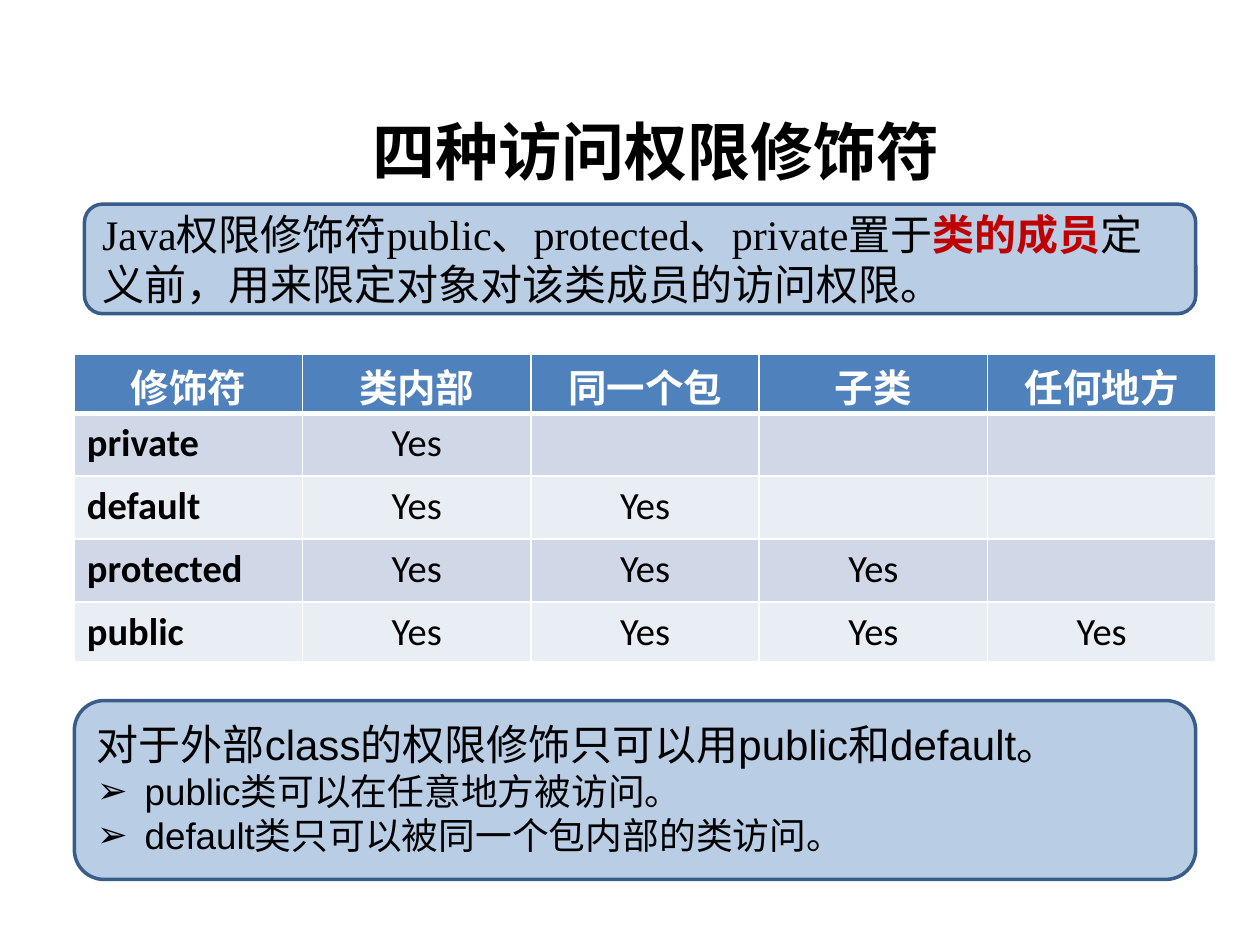
from lxml import etree
from pptx import Presentation
from pptx.dml.color import RGBColor
from pptx.enum.shapes import MSO_SHAPE
from pptx.enum.text import MSO_ANCHOR, PP_ALIGN
from pptx.oxml.ns import qn
from pptx.util import Inches, Pt

ROUND = MSO_SHAPE.ROUNDED_RECTANGLE
MIDDLE = MSO_ANCHOR.MIDDLE
LEFT, CENTER = PP_ALIGN.LEFT, PP_ALIGN.CENTER
BLACK, WHITE, RED = "000000", "FFFFFF", "C00000"
HAN = "Noto Sans CJK SC"


def color(code):
    return RGBColor.from_string(code)


class Page:
    pale, edge = "B9CDE5", "385D8A"
    head, bands = "4F81BD", ("D0D8E8", "E9EDF4")

    def __init__(self, slide):
        self.slide = slide

    def run(self, para, text, size, face="Arial", ink=BLACK, bold=False):
        run = para.add_run()
        run.text = text
        font = run.font
        font.size, font.name, font.bold = Pt(size), face, bold
        font.color.rgb = color(ink)
        latin = font._element.find(qn("a:latin"))
        east = etree.Element(qn("a:ea"), typeface=HAN)
        latin.addnext(east)

    def panel(self, *box):
        shape = self.slide.shapes.add_shape(ROUND, *map(Inches, box))
        shape.shadow.inherit = False
        shape.fill.solid()
        shape.fill.fore_color.rgb = color(self.pale)
        shape.line.color.rgb = color(self.edge)
        shape.line.width = Pt(2)
        frame = shape.text_frame
        frame.word_wrap = True
        frame.vertical_anchor = MIDDLE
        frame.paragraphs[0].alignment = LEFT
        return frame

    def label(self, *box):
        frame = self.slide.shapes.add_textbox(*map(Inches, box)).text_frame
        frame.word_wrap = True
        return frame

    def bullet(self, frame, text, size):
        para = frame.add_paragraph()
        props = para._p.get_or_add_pPr()
        props.set("marL", str(Inches(0.38)))
        props.set("indent", str(-Inches(0.38)))
        etree.SubElement(props, qn("a:buFont"), typeface="Arial")
        etree.SubElement(props, qn("a:buChar"), char="➢")
        self.run(para, text, size)

    def border(self, cell, side, width):
        props = cell._tc.get_or_add_tcPr()
        line = etree.SubElement(props, qn("a:" + side), w=str(Pt(width)))
        fill = etree.SubElement(line, qn("a:solidFill"))
        etree.SubElement(fill, qn("a:srgbClr"), val=WHITE)

    def cell(self, cell, text, row, col):
        top = row == 0
        for side in ("lnL", "lnR", "lnT", "lnB"):
            thick = (row, side) in ((0, "lnB"), (1, "lnT"))
            self.border(cell, side, 3 if thick else 1)
        cell.fill.solid()
        cell.fill.fore_color.rgb = color(self.head if top else self.bands[(row - 1) % 2])
        if top:
            cell.margin_top, cell.margin_bottom = Inches(0.03), 0
        para = cell.text_frame.paragraphs[0]
        para.alignment = CENTER if top or col else LEFT
        if text:
            face, ink = (HAN, WHITE) if top else ("Calibri", BLACK)
            self.run(para, text, 22, face, ink, top or col == 0)

    def table(self, data, highs, *box):
        count = len(data[0])
        table = self.slide.shapes.add_table(len(data), count, *map(Inches, box)).table
        for col in table.columns:
            col.width = Inches(box[2] / count)
        for row, (texts, high) in enumerate(zip(data, highs)):
            table.rows[row].height = Inches(high)
            for col, text in enumerate(texts):
                self.cell(table.cell(row, col), text, row, col)


def main():
    deck = Presentation()
    deck.slide_width, deck.slide_height = Inches(10), Inches(7.5)
    page = Page(deck.slides.add_slide(deck.slide_layouts[6]))

    page.panel(0.59, 5.56, 8.9, 1.42)
    para = page.panel(0.67, 1.62, 8.82, 0.87).paragraphs[0]
    face = "Times New Roman"
    page.run(para, "Java权限修饰符public、protected、private置于", 24, face)
    page.run(para, "类的成员", 24, face, RED, True)
    page.run(para, "定义前，用来限定对象对该类成员的访问权限。", 24, face)

    title = page.label(2.72, 0.84, 5.75, 0.71)
    title.margin_left = Inches(0.24)
    page.run(title.paragraphs[0], "四种访问权限修饰符", 36, bold=True)

    heads = ["修饰符", "类内部", "同一个包", "子类", "任何地方"]
    names = ["private", "default", "protected", "public"]
    size = len(names)
    rows = [[name] + ["Yes"] * num + [""] * (size - num)
            for num, name in enumerate(names, 1)]
    page.table([heads] + rows, [0.47, 0.5, 0.5, 0.5, 0.47], 0.59, 2.81, 9.06, 2.43)

    notes = page.label(0.67, 5.65, 8.9, 1.2)
    page.run(notes.paragraphs[0], "对于外部class的权限修饰只可以用public和default。", 24)
    for text in ("public类可以在任意地方被访问。",
                 "default类只可以被同一个包内部的类访问。"):
        page.bullet(notes, text, 21)

    deck.save("out.pptx")


if __name__ == "__main__":
    main()
